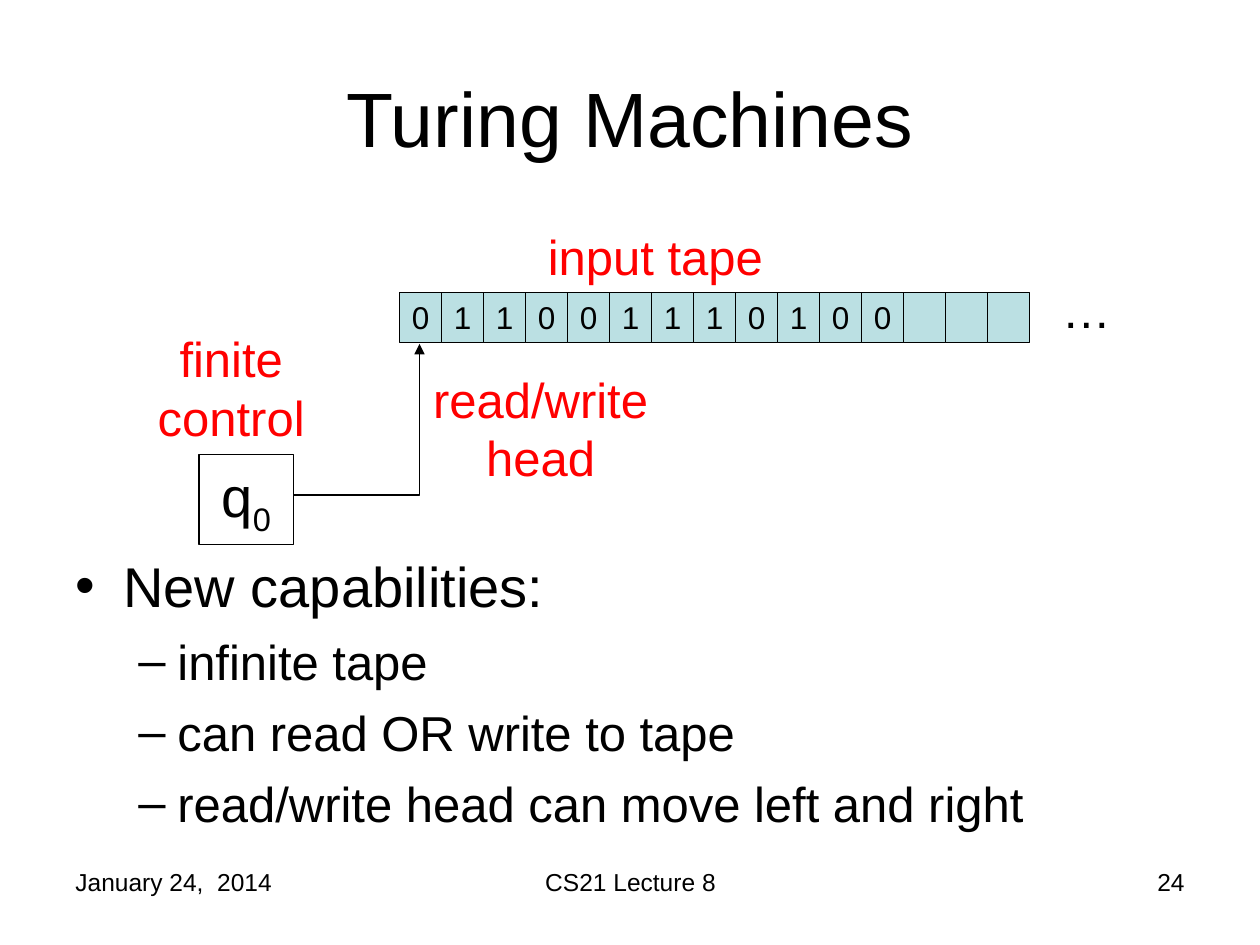
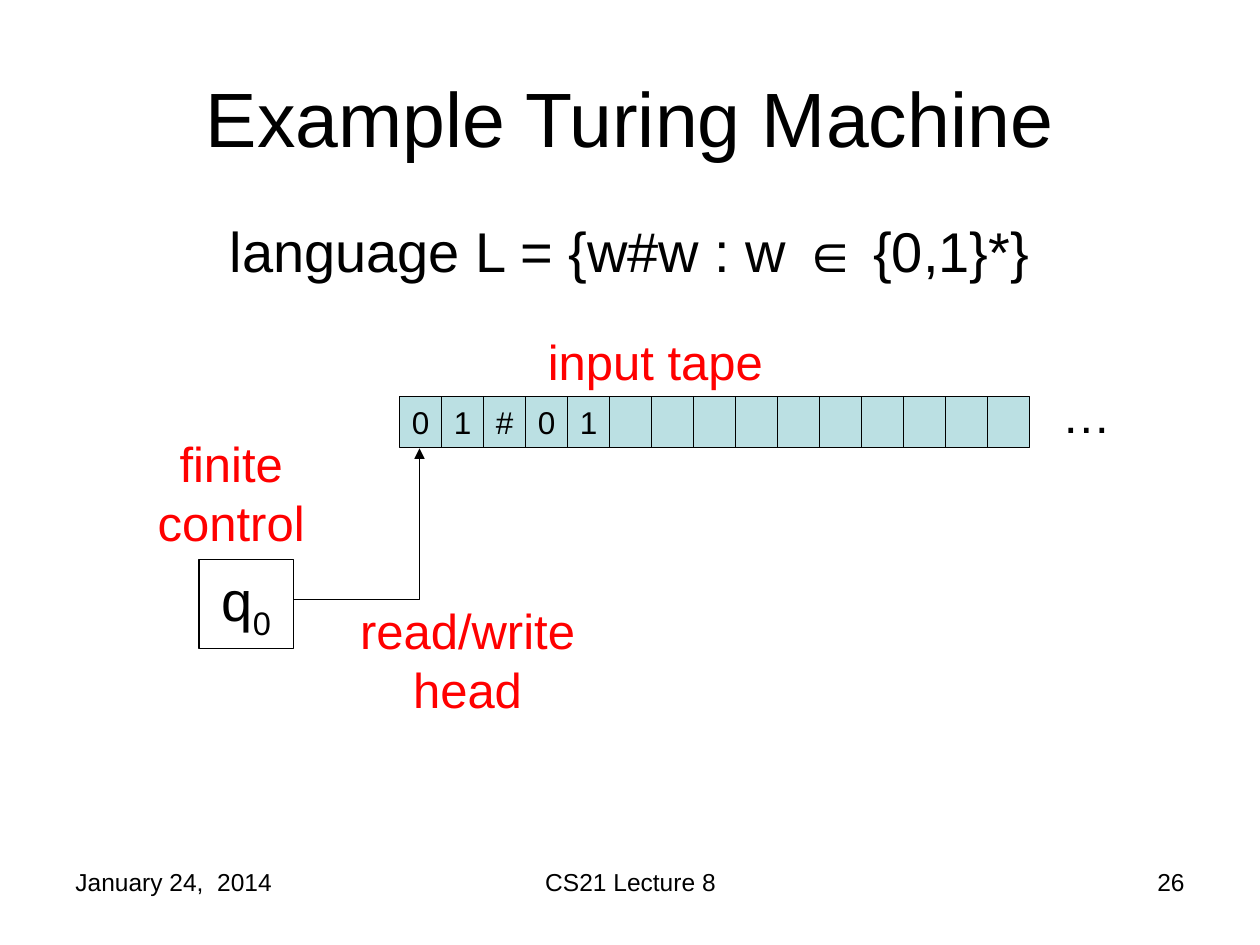
from pptx import Presentation
from pptx import util as u
from pptx.dml.color import RGBColor
from pptx.enum import shapes, text
from pptx.oxml.ns import qn
from lxml import etree

FONT = "Arial"
BLACK, RED, TAPE_BLUE = "000000", "FF0000", "BBE0E3"
LEFT, CENTER, RIGHT = text.PP_ALIGN.LEFT, text.PP_ALIGN.CENTER, text.PP_ALIGN.RIGHT
TOP, MIDDLE = text.MSO_ANCHOR.TOP, text.MSO_ANCHOR.MIDDLE
LINE_WIDTH = u.Pt(0.75)

MARGIN, CONTENT_WIDTH = 0.5, 9
TAPE_CELLS = 15
CELL_WIDTH, CELL_HEIGHT = 1 / 3, 0.4
# Level: text size, space before, left margin, hanging indent, bullet
BULLET_LEVELS = [(32, 8, 0.38, 0.38, "•"), (28, 7, 0.81, 0.31, "–")]


def color(hex_code):
    return RGBColor.from_string(hex_code)


def inches(*lengths):
    return [u.Inches(length) for length in lengths]


def write(paragraph, words, size=28, ink=BLACK, align=LEFT, before=0, subscript=""):
    paragraph.alignment = align
    paragraph.space_before = u.Pt(before)
    for part in filter(None, (words, subscript)):
        run = paragraph.add_run()
        run.text = part
        run.font.name = FONT
        run.font.size = u.Pt(size)
        run.font.color.rgb = color(ink)
    if subscript:
        run.font._element.set("baseline", "-25000")


def add_text(slide, words, box, anchor=TOP, **form):
    frame = slide.shapes.add_textbox(*inches(*box)).text_frame
    frame.word_wrap = True
    frame.vertical_anchor = anchor
    write(frame.paragraphs[0], words, **form)


def add_box(slide, box, fill=None, words="", **form):
    rect = slide.shapes.add_shape(shapes.MSO_SHAPE.RECTANGLE, *inches(*box))
    rect.shadow.inherit = False
    if fill:
        rect.fill.solid()
        rect.fill.fore_color.rgb = color(fill)
    else:
        rect.fill.background()
    rect.line.color.rgb = color(BLACK)
    rect.line.width = LINE_WIDTH
    rect.text_frame.vertical_anchor = TOP
    if words:
        write(rect.text_frame.paragraphs[0], words, align=CENTER, **form)


def add_head_arrow(slide, start, end):
    arrow = slide.shapes.add_connector(
        shapes.MSO_CONNECTOR.ELBOW, *inches(*start, *end))
    arrow.line.color.rgb = color(BLACK)
    arrow.line.width = LINE_WIDTH
    properties = arrow._element.spPr
    # One bend only: across, then up
    properties.find(qn("a:prstGeom")).set("prst", "bentConnector2")
    etree.SubElement(properties.find(qn("a:ln")), qn("a:tailEnd"), type="triangle")
    etree.SubElement(properties, qn("a:effectLst"))


def add_frame(deck, title, number):
    """New slide with the shared title and footer."""
    slide = deck.slides.add_slide(deck.slide_layouts[6])
    add_text(slide, title, (MARGIN, 0.3, CONTENT_WIDTH, 1.25),
             anchor=MIDDLE, size=44, align=CENTER)
    footer = [("January 24,  2014", 0.5, 2.33, LEFT),
              ("CS21 Lecture 8", 3.42, 3.17, CENTER),
              (str(number), 7.17, 2.33, RIGHT)]
    for words, left, width, align in footer:
        add_text(slide, words, (left, 6.83, width, 0.52), size=14, align=align)
    return slide


def add_machine(slide, left, top, symbols, head_label):
    """Turing machine; head_label is the label's offset from left and top."""
    def at(dx, dy, *size):
        return (left + dx, top + dy, *size)

    # Tape, with blank cells after the input
    for i, symbol in enumerate(symbols.ljust(TAPE_CELLS)):
        add_box(slide, at(2.25 + i * CELL_WIDTH, 0.57, CELL_WIDTH, CELL_HEIGHT),
                fill=TAPE_BLUE, words=symbol.strip(), size=18, before=11.2)
    add_text(slide, "…", at(7.41, 0.42, 0.75, 0.57), before=17.5)

    # Control and its head
    add_box(slide, at(0.66, 1.86, 0.75, 0.71), words="q", subscript="0",
            size=32, before=20)
    add_head_arrow(slide, at(1.41, 2.18), at(2.41, 0.98))

    # Labels
    labels = [("input tape", at(3.33, 0, 2.33, 0.57), LEFT),
              ("finite control", at(0, 0.81, 1.83, 1.04), CENTER),
              ("read/write head", at(*head_label, 2.08, 1.04), CENTER)]
    for words, box, align in labels:
        add_text(slide, words, box, ink=RED, align=align, before=17.5)


def add_bullets(slide, box, items):
    frame = slide.shapes.add_textbox(*inches(*box)).text_frame
    frame.word_wrap = True
    for i, (level, words) in enumerate(items):
        size, before, margin, hanging, bullet = BULLET_LEVELS[level]
        paragraph = frame.add_paragraph() if i else frame.paragraphs[0]
        paragraph.level = level
        write(paragraph, words, size=size, before=before)
        properties = paragraph._p.get_or_add_pPr()
        properties.set("marL", str(u.Inches(margin)))
        properties.set("indent", str(-u.Inches(hanging)))
        etree.SubElement(properties, qn("a:buFont"), typeface=FONT)
        etree.SubElement(properties, qn("a:buChar"), char=bullet)


def build_capabilities(deck):
    slide = add_frame(deck, "Turing Machines", 24)
    add_bullets(slide, (MARGIN, 4.33, CONTENT_WIDTH, 2.75), [
        (0, "New capabilities:"),
        (1, "infinite tape"),
        (1, "can read OR write to tape"),
        (1, "read/write head can move left and right"),
    ])
    add_machine(slide, 0.92, 1.75, "011001110100", head_label=(2.33, 1.13))


def build_example(deck):
    slide = add_frame(deck, "Example Turing Machine", 26)
    add_text(slide, "language L = {w#w : w ∈ {0,1}*}",
             (MARGIN, 1.67, CONTENT_WIDTH, 0.75), size=32, align=CENTER, before=8)
    add_machine(slide, 0.92, 2.58, "01#01", head_label=(1.75, 2.14))


def main():
    deck = Presentation()
    deck.slide_width, deck.slide_height = inches(10, 7.5)
    build_capabilities(deck)
    build_example(deck)
    deck.save("out.pptx")


if __name__ == "__main__":
    main()
